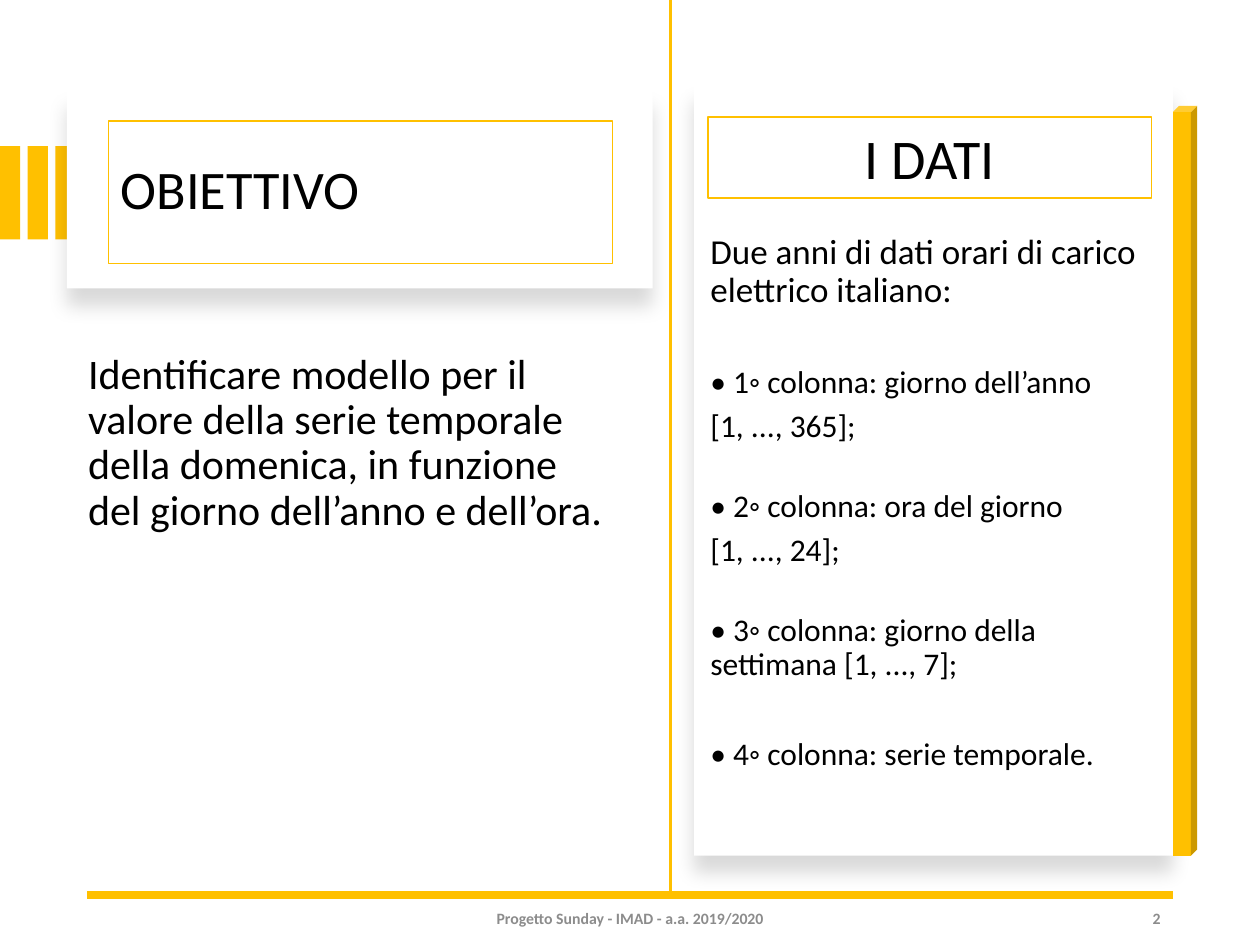
from dataclasses import dataclass

from lxml.etree import SubElement
from pptx import Presentation
from pptx.dml.color import RGBColor
from pptx.enum.shapes import MSO_CONNECTOR as Connector, MSO_SHAPE as Preset
from pptx.enum.text import MSO_ANCHOR as Anchor, MSO_AUTO_SIZE as AutoSize, PP_ALIGN as Align
from pptx.oxml.ns import qn
from pptx.util import Inches, Pt


@dataclass(frozen=True)
class Theme:
    font: str = "Calibri"
    accent: RGBColor = RGBColor(0xFF, 0xC0, 0x00)
    paper: RGBColor = RGBColor(0xFF, 0xFF, 0xFF)
    ink: RGBColor = RGBColor(0x00, 0x00, 0x00)
    muted: RGBColor = RGBColor(0x8C, 0x8C, 0x8C)
    heading: int = 32
    title: int = 31
    goal: int = 24
    intro: int = 20
    column: int = 18
    footer: int = 9


THEME = Theme()

# Text, type size and space before of each paragraph
GOAL = [("Identificare modello per il valore della serie temporale della domenica, "
         "in funzione del giorno dell’anno e dell’ora.", THEME.goal, 0)]
DATA = [
    ("Due anni di dati orari di carico elettrico italiano:", THEME.intro, 0),
    ("• 1◦ colonna: giorno dell’anno", THEME.column, 32),
    ("[1, ..., 365];", THEME.column, 6),
    ("• 2◦ colonna: ora del giorno", THEME.column, 26),
    ("[1, ..., 24];", THEME.column, 6),
    ("• 3◦ colonna: giorno della settimana [1, ..., 7];", THEME.column, 26),
    ("• 4◦ colonna: serie temporale.", THEME.column, 32),
]


def set_all(target, values):
    for name, value in values.items():
        setattr(target, name, value)


def box(left, top, width, height):
    return [Inches(length) for length in (left, top, width, height)]


def write(frame, paragraphs, color=THEME.ink, align=Align.LEFT, spacing=1.0, **frame_format):
    set_all(frame, {"word_wrap": True, "auto_size": AutoSize.NONE, **frame_format})
    for index, (text, size, before) in enumerate(paragraphs):
        paragraph = frame.add_paragraph() if index else frame.paragraphs[0]
        paragraph.text = text
        set_all(paragraph, {"alignment": align, "line_spacing": spacing,
                            "space_before": Pt(before), "space_after": Pt(0)})
        set_all(paragraph.font, {"name": THEME.font, "size": Pt(size), "bold": False})
        paragraph.font.color.rgb = color


def add_text(slide, area, paragraphs, **text_format):
    frame = slide.shapes.add_textbox(*box(*area)).text_frame
    write(frame, paragraphs, **text_format)
    return frame


def outline(shape, width):
    shape.line.color.rgb = THEME.accent
    shape.line.width = Pt(width)


def add_block(shapes, area, color, preset=Preset.RECTANGLE):
    block = shapes.add_shape(preset, *box(*area))
    block.shadow.inherit = False
    block.fill.solid()
    block.fill.fore_color.rgb = color
    block.line.fill.background()
    return block


def add_card(slide, area):
    card = add_block(slide.shapes, area, THEME.paper)
    effects = card.element.spPr.find(qn("a:effectLst"))
    shadow = SubElement(effects, qn("a:outerShdw"), blurRad=str(Pt(11)), dist=str(Pt(10)),
                        dir="5400000", algn="t", rotWithShape="0")
    black = SubElement(shadow, qn("a:srgbClr"), val=str(THEME.ink))
    SubElement(black, qn("a:alpha"), val="15000")


def add_rule(slide, start, end, width):
    rule = slide.shapes.add_connector(Connector.STRAIGHT, *box(*start, *end))
    outline(rule, width)
    SubElement(rule.element.spPr, qn("a:effectLst"))


def add_title(slide, area, text):
    title = slide.shapes.title
    slide.shapes.element.append(title.element)  # in front of its card
    left, top, width, height = box(*area)
    set_all(title, {"left": left, "top": top, "width": width, "height": height})
    outline(title, 0.75)
    write(title.text_frame, [(text, THEME.title, 0)], spacing=0.9,
          vertical_anchor=Anchor.MIDDLE)


def add_footer(slide, left, width, text, align, bold=True):
    frame = add_text(slide, (left, 7.09, width, 0.4), [(text, THEME.footer, 0)],
                     color=THEME.muted, align=align, vertical_anchor=Anchor.MIDDLE)
    frame.paragraphs[0].font.bold = bold


def main():
    deck = Presentation()
    deck.slide_width, deck.slide_height = Inches(10), Inches(7.5)
    slide = deck.slides.add_slide(deck.slide_layouts[5])

    # Stripes at the left edge
    stripes = slide.shapes.add_group_shape()
    for index in range(3):
        add_block(stripes.shapes, (0.22 * index, 1.16, 0.16, 0.74), THEME.accent)

    # Goal
    add_card(slide, (0.53, 0.72, 4.65, 1.57))
    add_title(slide, (0.86, 0.96, 4, 1.13), "OBIETTIVO")
    add_text(slide, (0.6, 0.5, 4.35, 6.28), GOAL, spacing=0.9,
             vertical_anchor=Anchor.MIDDLE, margin_bottom=Inches(0.29))

    # Data
    add_card(slide, (5.51, 0.67, 3.8, 6.12))
    add_text(slide, (5.54, 1.81, 3.77, 4.71), DATA, spacing=0.9)
    heading = add_block(slide.shapes, (5.62, 0.93, 3.52, 0.64), THEME.paper)
    outline(heading, 1)
    write(heading.text_frame, [("I DATI", THEME.heading, 0)], align=Align.CENTER,
          vertical_anchor=Anchor.MIDDLE)
    add_block(slide.shapes, (9.31, 0.84, 0.19, 5.95), THEME.accent, Preset.CUBE)

    # Dividers
    add_rule(slide, (9.31, 7.1), (0.69, 7.1), 4.5)
    add_rule(slide, (5.32, 0), (5.32, 7.1), 2)

    # Footer
    add_footer(slide, 3.31, 3.38, "Progetto Sunday - IMAD - a.a. 2019/2020", Align.CENTER)
    add_footer(slide, 7.06, 2.25, "2", Align.RIGHT)

    deck.save("out.pptx")


if __name__ == "__main__":
    main()
